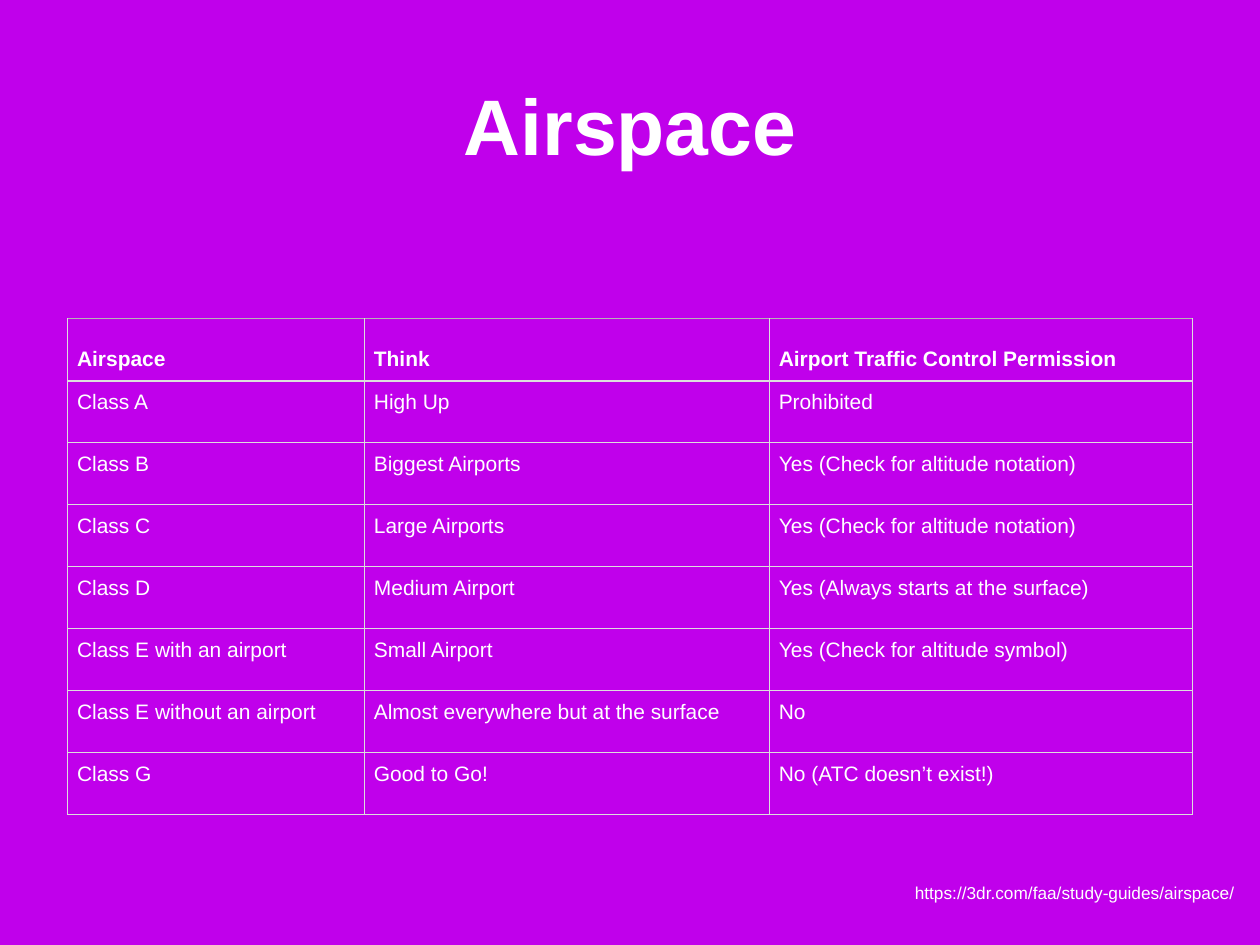
from lxml import etree
from pptx import Presentation
from pptx.dml.color import RGBColor
from pptx.enum.text import MSO_ANCHOR, PP_ALIGN
from pptx.oxml.ns import qn
from pptx.util import Inches, Pt

TOP, MIDDLE, BOTTOM = MSO_ANCHOR.TOP, MSO_ANCHOR.MIDDLE, MSO_ANCHOR.BOTTOM
CENTER = PP_ALIGN.CENTER

TITLE = "Airspace"
LINK = "https://3dr.com/faa/study-guides/airspace/"
ROWS = [
    ("Airspace", "Think", "Airport Traffic Control Permission"),
    ("Class A", "High Up", "Prohibited"),
    ("Class B", "Biggest Airports", "Yes (Check for altitude notation)"),
    ("Class C", "Large Airports", "Yes (Check for altitude notation)"),
    ("Class D", "Medium Airport", "Yes (Always starts at the surface)"),
    ("Class E with an airport", "Small Airport", "Yes (Check for altitude symbol)"),
    ("Class E without an airport", "Almost everywhere but at the surface", "No"),
    ("Class G", "Good to Go!", "No (ATC doesn’t exist!)"),
]
WIDTHS = [3.35, 4.57, 4.78]
HEIGHT = 0.7
COLORS = {"back": "C000EB", "text": "FFFFFF", "line": "DDDDDD", "top": "B4B4B4"}


def style(para, size, bold=False):
    for run in para.runs:
        run.font.name = "Arial"
        run.font.size = Pt(size)
        run.font.bold = bold
        run.font.color.rgb = RGBColor.from_string(COLORS["text"])


def fill_frame(frame, text, size, bold=False):
    frame.text = text
    frame.vertical_anchor = MIDDLE
    frame.margin_left = frame.margin_right = Inches(0.06)
    frame.margin_top = frame.margin_bottom = Inches(0.06)
    frame.paragraphs[0].alignment = CENTER
    style(frame.paragraphs[0], size, bold)


def add_edge(cell, side, color, width):
    props = cell._tc.get_or_add_tcPr()
    line = etree.SubElement(props, qn("a:ln" + side), w=str(Pt(width)))
    solid = etree.SubElement(line, qn("a:solidFill"))
    etree.SubElement(solid, qn("a:srgbClr"), val=color)


def fill_cell(cell, text, row):
    head = row == 0
    cell.text = text
    cell.vertical_anchor = BOTTOM if head else TOP
    cell.margin_left = cell.margin_right = Inches(0.11)
    cell.margin_top = cell.margin_bottom = Inches(0.11)
    style(cell.text_frame.paragraphs[0], 17, head)
    add_edge(cell, "L", COLORS["line"], 1)
    add_edge(cell, "R", COLORS["line"], 1)
    add_edge(cell, "T", COLORS["top" if head else "line"], 2 if row == 1 else 1)
    add_edge(cell, "B", COLORS["line"], 2 if head else 1)
    cell.fill.background()


def add_grid(slide):
    frame = slide.shapes.add_table(
        len(ROWS), len(WIDTHS), Inches(0.76), Inches(3.6),
        Inches(sum(WIDTHS)), Inches(HEIGHT * len(ROWS)))
    table = frame.table
    table.first_row = table.horz_banding = False
    for column, width in zip(table.columns, WIDTHS):
        column.width = Inches(width)
    for row, texts in enumerate(ROWS):
        table.rows[row].height = Inches(HEIGHT)
        for col, text in enumerate(texts):
            fill_cell(table.cell(row, col), text, row)


def main():
    deck = Presentation()
    deck.slide_width, deck.slide_height = Inches(14.22), Inches(10.67)
    slide = deck.slides.add_slide(deck.slide_layouts[5])
    back = slide.background.fill
    back.solid()
    back.fore_color.rgb = RGBColor.from_string(COLORS["back"])

    title = slide.shapes.title
    title.left, title.top = Inches(0.83), Inches(0.22)
    title.width, title.height = Inches(12.56), Inches(2.35)
    fill_frame(title.text_frame, TITLE, 64, True)

    add_grid(slide)

    link = slide.shapes.add_textbox(
        Inches(10.21), Inches(9.9), Inches(3.84), Inches(0.35))
    fill_frame(link.text_frame, LINK, 14)
    deck.save("out.pptx")


if __name__ == "__main__":
    main()
